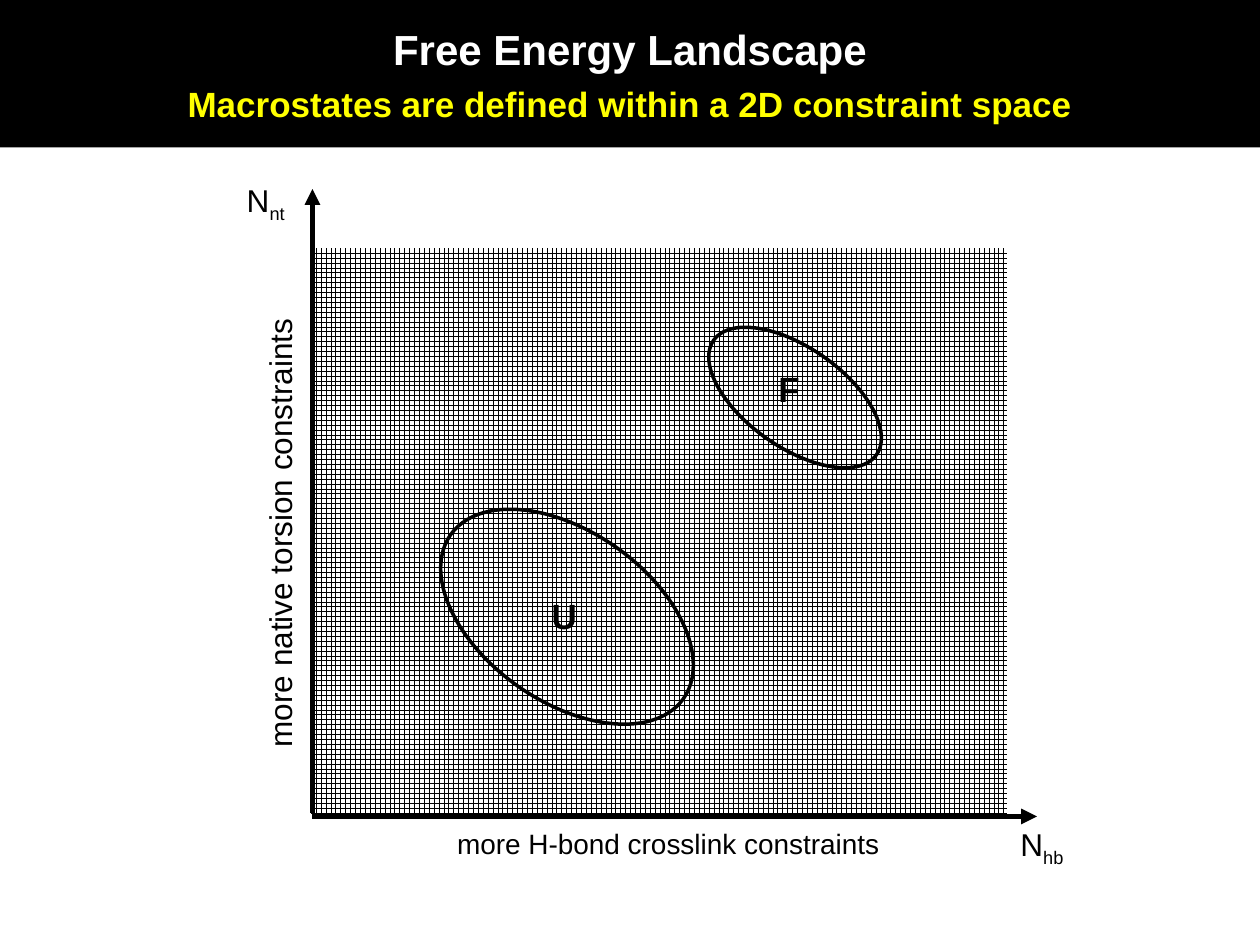
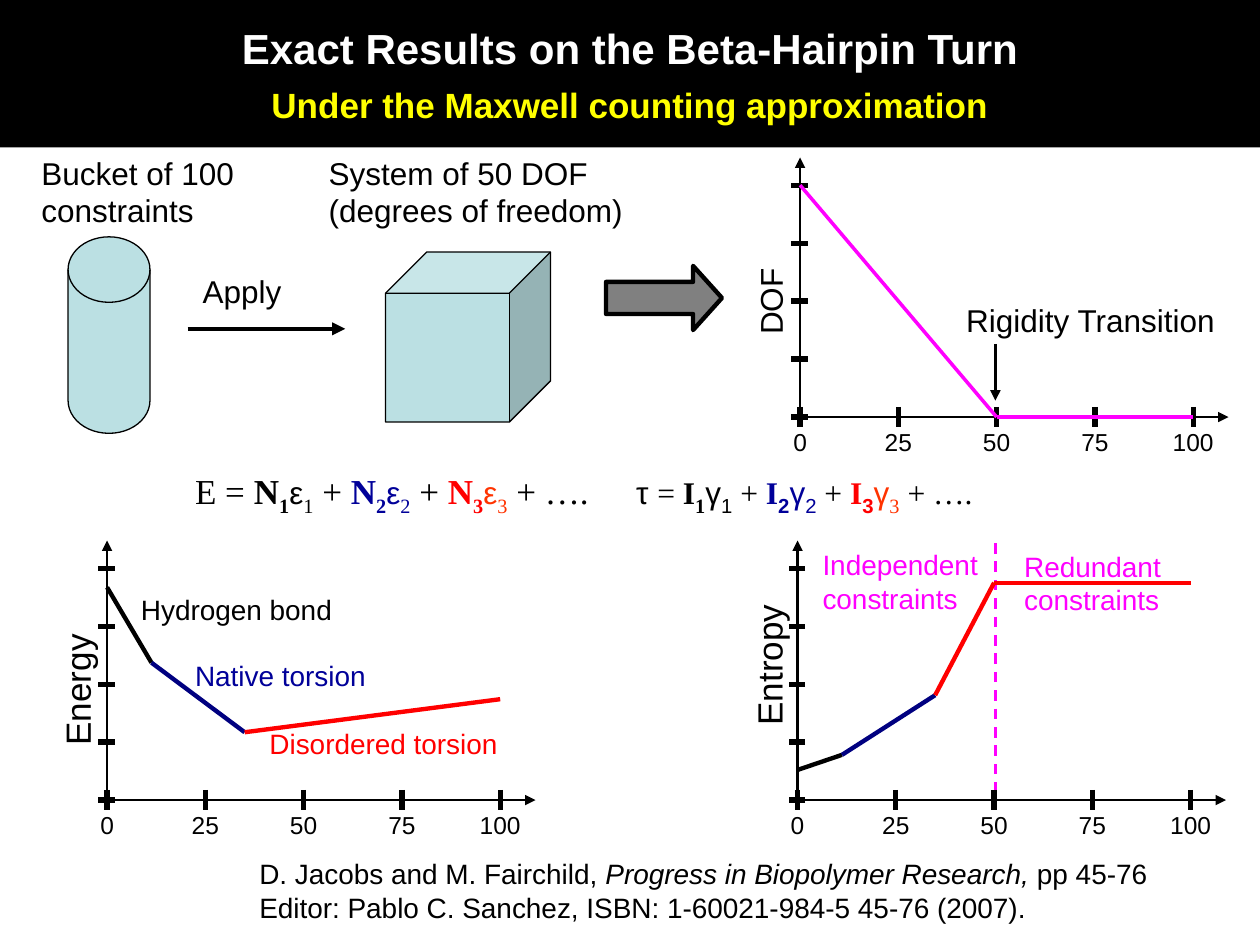
from lxml import etree
from pptx import Presentation, util as u
from pptx.dml.color import RGBColor
from pptx.enum import dml, shapes, text
from pptx.oxml.ns import qn

COLUMNS, ROWS = 10, 7.5
CELL = u.Inches(1)
BLACK, WHITE, YELLOW = "000000", "FFFFFF", "FFFF00"
MAGENTA, RED, ORANGE = "FF00FF", "FF0000", "FF3300"
NAVY, BLUE, PALE, GREY = "000080", "000099", "BBE0E3", "808080"
SANS, SERIF = "Arial", "Times New Roman"
rgb = RGBColor.from_string


def label(slide, box, content, size=18, color=BLACK, bold=False, wrap=False,
          rotation=0, align=text.PP_ALIGN.LEFT):
    """Add text to a box of grid cells; content is a string or (words, style) pieces."""
    holder = slide.shapes.add_textbox(*(round(n * CELL) for n in box))
    holder.rotation = rotation
    frame = holder.text_frame
    frame.word_wrap = wrap
    frame.auto_size = text.MSO_AUTO_SIZE.SHAPE_TO_FIT_TEXT
    if isinstance(content, str):
        frame.text = content
        styled = [(run, {}) for p in frame.paragraphs for run in p.runs]
    else:
        styled = []
        for words, style in content:
            run = frame.paragraphs[0].add_run()
            run.text = words
            styled.append((run, style))
    for paragraph in frame.paragraphs:
        paragraph.alignment = align
    for run, style in styled:
        font = run.font
        font.name = style.get("font", SANS)
        font.size = u.Pt(style.get("size", size))
        font.bold = style.get("bold", bold)
        font.italic = style.get("italic", False)
        font.color.rgb = rgb(style.get("color", color))
        if style.get("sub"):
            run._r.get_or_add_rPr().set("baseline", "-25000")
    return frame


def segment(slide, start, end, width, color=BLACK, arrow=False, dashed=False):
    link = slide.shapes.add_connector(
        shapes.MSO_CONNECTOR.STRAIGHT, *(round(n * CELL) for n in (*start, *end)))
    link.line.width = u.Pt(width)
    link.line.color.rgb = rgb(color)
    if dashed:
        link.line.dash_style = dml.MSO_LINE.DASH
    if arrow:
        etree.SubElement(link.line._get_or_add_ln(), qn("a:tailEnd"), type="triangle")
    etree.SubElement(link._element.spPr, qn("a:effectLst"))


deck = Presentation()
deck.slide_width, deck.slide_height = round(COLUMNS * CELL), round(ROWS * CELL)

# Both slides: black band with a white title and a yellow subtitle
headings = [
    ("Free Energy Landscape", "Macrostates are defined within a 2D constraint space", 5),
    ("Exact Results on the Beta-Hairpin Turn", "Under the Maxwell counting approximation", 6),
]
pages = []
for heading, subheading, gap in headings:
    page = deck.slides.add_slide(deck.slide_layouts[5])
    band = page.shapes.title
    band.left, band.top = 0, 0
    band.width, band.height = deck.slide_width, round(1.17 * CELL)
    band.fill.solid()
    band.fill.fore_color.rgb = rgb(BLACK)
    band.text_frame.text = f"{heading}\n{subheading}"
    band.text_frame.vertical_anchor = text.MSO_ANCHOR.MIDDLE
    for paragraph, size, color in zip(band.text_frame.paragraphs, (24, 20), (WHITE, YELLOW)):
        paragraph.alignment = text.PP_ALIGN.CENTER
        font = paragraph.runs[0].font
        font.name, font.size, font.bold = SANS, u.Pt(size), True
        font.color.rgb = rgb(color)
    band.text_frame.paragraphs[1].space_before = u.Pt(gap)
    pages.append(page)
landscape, hairpin = pages

# Slide 1: constraint space with its two macrostates
space = landscape.shapes.add_shape(
    shapes.MSO_SHAPE.RECTANGLE, *(round(n * CELL) for n in (2.47, 1.97, 5.52, 4.51)))
space.shadow.inherit = False
space.fill.patterned()
space.fill.pattern = dml.MSO_PATTERN.LARGE_GRID
space.fill.fore_color.rgb = rgb(BLACK)
space.fill.back_color.rgb = rgb(WHITE)
space.line.fill.background()

label(landscape, (0.32, 3.93, 3.8, 0.4), "more native torsion constraints", wrap=True, rotation=270)
segment(landscape, (2.48, 6.45), (2.48, 1.5), 3, arrow=True)
segment(landscape, (2.48, 6.48), (8.23, 6.48), 3, arrow=True)
label(landscape, (3.53, 6.51, 3.56, 0.37), "more H-bond crosslink constraints", 16)
for left, top, index in [(8, 6.5, "hb"), (1.86, 1.39, "nt")]:
    label(landscape, (left, top, 0.78, 0.4), [("N", {}), (index, {"sub": True})], wrap=True)

macrostates = [
    ("F", (5.52, 2.76, 1.58, 0.79), (6.08, 2.87)),
    ("U", (3.37, 4.22, 2.26, 1.35), (4.28, 4.67)),
]
for state, outline, corner in macrostates:
    region = landscape.shapes.add_shape(
        shapes.MSO_SHAPE.OVAL, *(round(n * CELL) for n in outline))
    region.rotation = 35.1
    region.shadow.inherit = False
    region.fill.background()
    region.line.color.rgb = rgb(BLACK)
    region.line.width = u.Pt(2)
    label(landscape, (*corner, 0.56, 0.43), state, 20, bold=True, wrap=True)

# Slide 2: constraints applied to the system
stages = [
    (shapes.MSO_SHAPE.FLOWCHART_MAGNETIC_DISK, (0.54, 1.88, 0.65, 1.56), PALE, 0.75),
    (shapes.MSO_SHAPE.CUBE, (3.06, 2, 1.31, 1.35), PALE, 0.75),
    (shapes.MSO_SHAPE.RIGHT_ARROW, (4.81, 2.11, 0.92, 0.51), GREY, 2.5),
]
for preset, box, color, width in stages:
    stage = hairpin.shapes.add_shape(preset, *(round(n * CELL) for n in box))
    stage.shadow.inherit = False
    stage.fill.solid()
    stage.fill.fore_color.rgb = rgb(color)
    stage.line.color.rgb = rgb(BLACK)
    stage.line.width = u.Pt(width)
stage.adjustments[1] = 0.45
label(hairpin, (0.23, 1.17, 1.77, 0.7), "Bucket of 100 constraints", wrap=True)
label(hairpin, (2.51, 1.17, 2.68, 0.7), "System of 50 DOF (degrees of freedom)", wrap=True)
label(hairpin, (1.51, 2.11, 1.03, 0.5), "Apply")
segment(hairpin, (1.49, 2.61), (2.74, 2.61), 2.5, arrow=True)

# Three plots: x runs from 0 to 100 constraints, y is counted in ticks
PER_CONSTRAINT, PER_TICK = 3.12 / 100, 0.46
segment(hairpin, (7.9, 4.31), (7.9, 6.37), 1.5, MAGENTA, dashed=True)
plots = [
    ("DOF", (5.75, 2.19, 0.73, 0.4), 18, (6.35, 3.31), 2,
     [(0, 4), (50, 0), (100, 0)], [MAGENTA, MAGENTA]),
    ("Energy", (0.07, 5.26, 1.08, 0.43), 20, (0.85, 6.35), 2.5,
     [(0, 3.67), (11.3, 2.37), (35, 1.17), (100, 1.74)], [BLACK, NAVY, RED]),
    ("Entropy", (5.52, 5.06, 1.16, 0.43), 20, (6.33, 6.35), 2.5,
     [(0, 0.52), (11.3, 0.78), (35, 1.81), (50, 3.75), (100, 3.75)],
     [BLACK, NAVY, RED, RED]),
]
for quantity, box, size, (x0, y0), width, values, colors in plots:
    segment(hairpin, (x0, y0), (x0, y0 - 2.06), 1.5, arrow=True)
    segment(hairpin, (x0, y0), (x0 + 3.4, y0), 1.5, arrow=True)
    for tick in range(5):
        x, y = x0 + 25 * tick * PER_CONSTRAINT, y0 - tick * PER_TICK
        segment(hairpin, (x, y0 - 0.08), (x, y0 + 0.08), 3)
        segment(hairpin, (x0 + 0.06, y), (x0 - 0.07, y), 3)
        label(hairpin, (x - 0.27, y0 + 0.03, 0.54, 0.33), str(25 * tick), 14,
              align=text.PP_ALIGN.CENTER)
    points = [(x0 + x * PER_CONSTRAINT, y0 - y * PER_TICK) for x, y in values]
    for start, end, color in zip(points, points[1:], colors):
        segment(hairpin, start, end, width, color)
    label(hairpin, box, quantity, size, rotation=270)

segment(hairpin, (7.9, 2.73), (7.9, 3.18), 2, arrow=True)
remarks = [
    ("Rigidity Transition", (7.57, 2.34, 2.19, 0.4), 18, BLACK),
    ("Hydrogen bond", (1.02, 4.65, 1.72, 0.37), 16, BLACK),
    ("Native torsion", (1.45, 5.18, 1.56, 0.37), 16, BLUE),
    ("Disordered torsion", (2.04, 5.72, 2.02, 0.37), 16, RED),
    ("Redundant\nconstraints", (8.03, 4.31, 1.35, 0.64), 16, MAGENTA),
    ("Independent\nconstraints", (6.43, 4.3, 1.5, 0.64), 16, MAGENTA),
]
for remark, box, size, color in remarks:
    label(hairpin, box, remark, size, color)

# Energy and entropy sums, one coloured term per kind of constraint
term_colors = [(BLACK, BLACK), (BLUE, BLUE), (RED, ORANGE)]
sums = [
    ([("E = ", {"font": SERIF, "size": 20})], "N", "ε", 20, " + ….\t",
     [SERIF, SERIF, SERIF], [SERIF, SERIF, SERIF]),
    ([("τ ", {}), ("= ", {"font": SERIF})], "I", "γ", 18, " + ….",
     [SERIF, SANS, SANS], [SANS, SANS, SERIF]),
]
equation = []
for opening, count, weight, size, ending, count_fonts, weight_fonts in sums:
    equation += opening
    for n, (count_color, weight_color) in enumerate(term_colors):
        index = str(n + 1)
        equation += [
            (count, {"font": SERIF, "size": size, "bold": True, "color": count_color}),
            (index, {"font": count_fonts[n], "size": 20, "bold": True,
                     "color": count_color, "sub": True}),
            (weight, {"color": weight_color}),
            (index, {"font": weight_fonts[n], "size": 20, "color": weight_color, "sub": True}),
            (ending if n == 2 else " + ", {"font": SERIF, "size": size}),
        ]
sums_frame = label(hairpin, (1.45, 3.68, 7.09, 0.5), equation, wrap=True)
tabs = etree.SubElement(sums_frame.paragraphs[0]._p.get_or_add_pPr(), qn("a:tabLst"))
etree.SubElement(tabs, qn("a:tab"), pos=str(round(3.5 * CELL)), algn="l")

label(hairpin, (1.96, 6.75, 7.43, 0.64), [
    ("D. Jacobs and M. Fairchild, ", {}),
    ("Progress in Biopolymer Research, ", {"italic": True}),
    ("pp 45-76 Editor: Pablo C. Sanchez, ISBN: 1-60021-984-5 45-76 (2007).", {}),
], 16, wrap=True)

deck.save("out.pptx")
